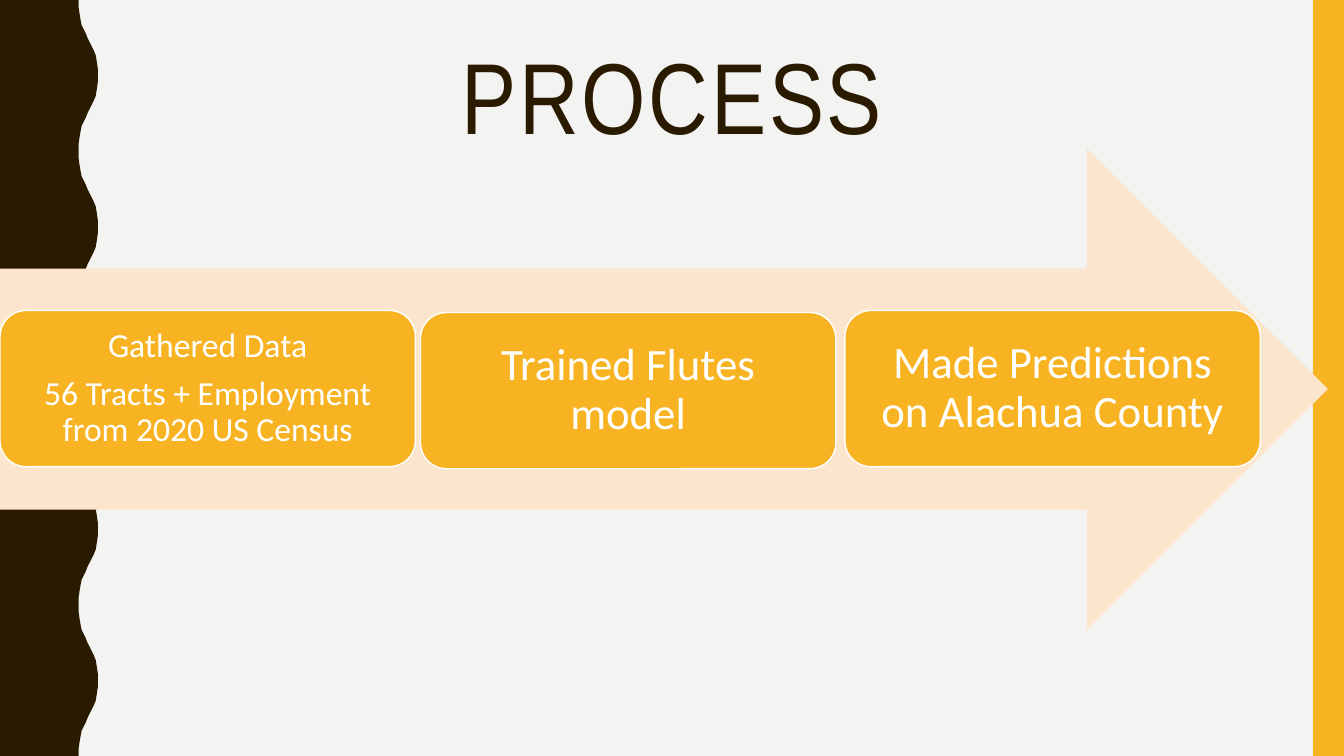
from pptx import Presentation
from pptx import util as u
from pptx.dml.color import RGBColor
from pptx.enum import shapes, text

PX = 9144  # EMU per px, 100 px to the inch
WIDTH, HEIGHT = 1333, 750

BACKGROUND = RGBColor(0xF3, 0xF3, 0xF2)
BROWN = RGBColor(0x2A, 0x1A, 0x00)
GOLD = RGBColor(0xF8, 0xB3, 0x23)
PEACH = RGBColor(0xFC, 0xE5, 0xCD)
WHITE = RGBColor(0xFF, 0xFF, 0xFF)

# Half a wave, from trough to crest
HALF_WAVE = [(78, 0), (78, 7), (79, 14), (80, 20), (81, 25), (83, 29),
             (85, 33), (87, 38), (89, 42), (91, 46), (93, 50), (95, 55),
             (96, 61), (97, 68), (97, 75)]
PERIOD = 150

# Left, top, font size, inset, paragraphs
STEPS = [
    (0, 308, 24, 10, ["Gathered Data",
                      "56 Tracts + Employment from 2020 US Census"]),
    (417, 310, 32, 13, ["Trained Flutes model"]),
    (838, 308, 32, 13, ["Made Predictions on Alachua County"]),
]
STEP_WIDTH, STEP_HEIGHT = 412, 155


def px(*lengths):
    return [u.Emu(length * PX) for length in lengths]


def paint(shape, color):
    shape.shadow.inherit = False
    shape.fill.solid()
    shape.fill.fore_color.rgb = color
    shape.line.fill.background()


def add_block(slide, kind, color, *box):
    shape = slide.shapes.add_shape(kind, *px(*box))
    paint(shape, color)
    return shape


def add_wavy_edge(slide):
    wave = HALF_WAVE + [(x, PERIOD - y) for x, y in HALF_WAVE[-2::-1]]
    edge = [(x, y + top) for top in range(0, HEIGHT, PERIOD) for x, y in wave]
    builder = slide.shapes.build_freeform(0, 0, scale=PX)
    builder.add_line_segments(edge + [(0, HEIGHT)], close=True)
    paint(builder.convert_to_shape(), BROWN)


def add_text(paragraph, words, font_name, size, color):
    paragraph.alignment = text.PP_ALIGN.CENTER
    paragraph.line_spacing = 0.9
    run = paragraph.add_run()
    run.text = words
    run.font.name = font_name
    run.font.size = u.Pt(size)
    run.font.color.rgb = color
    return run


def set_title(slide, words):
    title = slide.shapes.title
    title.left, title.top, title.width, title.height = px(0, 42, WIDTH, 251)
    frame = title.text_frame
    frame.vertical_anchor = text.MSO_ANCHOR.TOP
    frame.auto_size = text.MSO_AUTO_SIZE.NONE
    run = add_text(frame.paragraphs[0], words, "Arial Narrow", 72, BROWN)
    run.font._element.set("spc", "200")  # letter spacing of 2 pt


def add_step(slide, left, top, size, inset, lines):
    shape = add_block(slide, shapes.MSO_SHAPE.ROUNDED_RECTANGLE, GOLD,
                      left, top, STEP_WIDTH, STEP_HEIGHT)
    shape.line.color.rgb = WHITE
    shape.line.width = u.Pt(1)
    frame = shape.text_frame
    frame.word_wrap = True
    frame.vertical_anchor = text.MSO_ANCHOR.MIDDLE
    (frame.margin_left, frame.margin_top,
     frame.margin_right, frame.margin_bottom) = px(*[inset] * 4)
    for index, line in enumerate(lines):
        paragraph = frame.add_paragraph() if index else frame.paragraphs[0]
        paragraph.space_before = u.Pt(8 if index else 0)
        add_text(paragraph, line, "Calibri", size, WHITE)


def main():
    presentation = Presentation()
    presentation.slide_width, presentation.slide_height = px(WIDTH, HEIGHT)
    slide = presentation.slides.add_slide(presentation.slide_layouts[5])

    # Background and side bands
    slide.background.fill.solid()
    slide.background.fill.fore_color.rgb = BACKGROUND
    add_wavy_edge(slide)
    add_block(slide, shapes.MSO_SHAPE.RECTANGLE, GOLD, 1302, 0, 31, HEIGHT)

    set_title(slide, "PROCESS")

    # Process arrow with its steps
    add_block(slide, shapes.MSO_SHAPE.RIGHT_ARROW, PEACH, 0, 147, 1317, 478)
    for step in STEPS:
        add_step(slide, *step)

    presentation.save("out.pptx")


if __name__ == "__main__":
    main()
